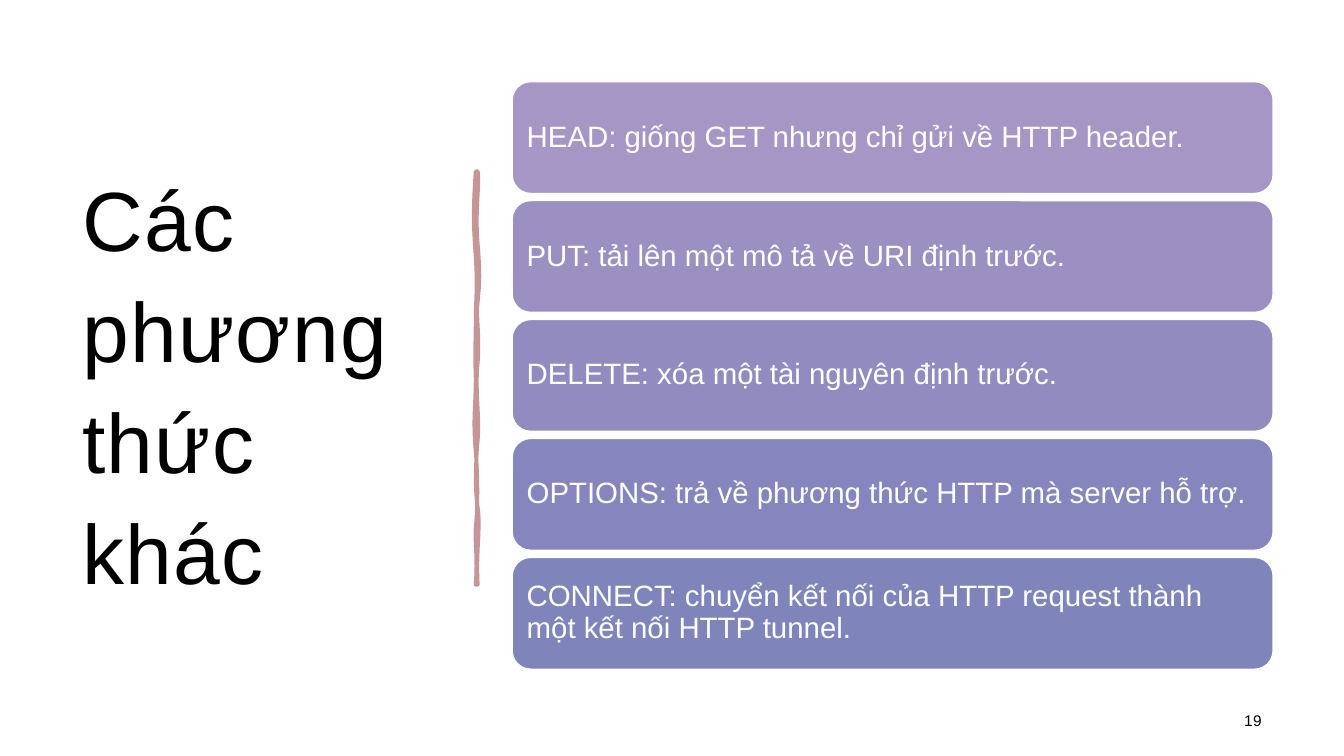
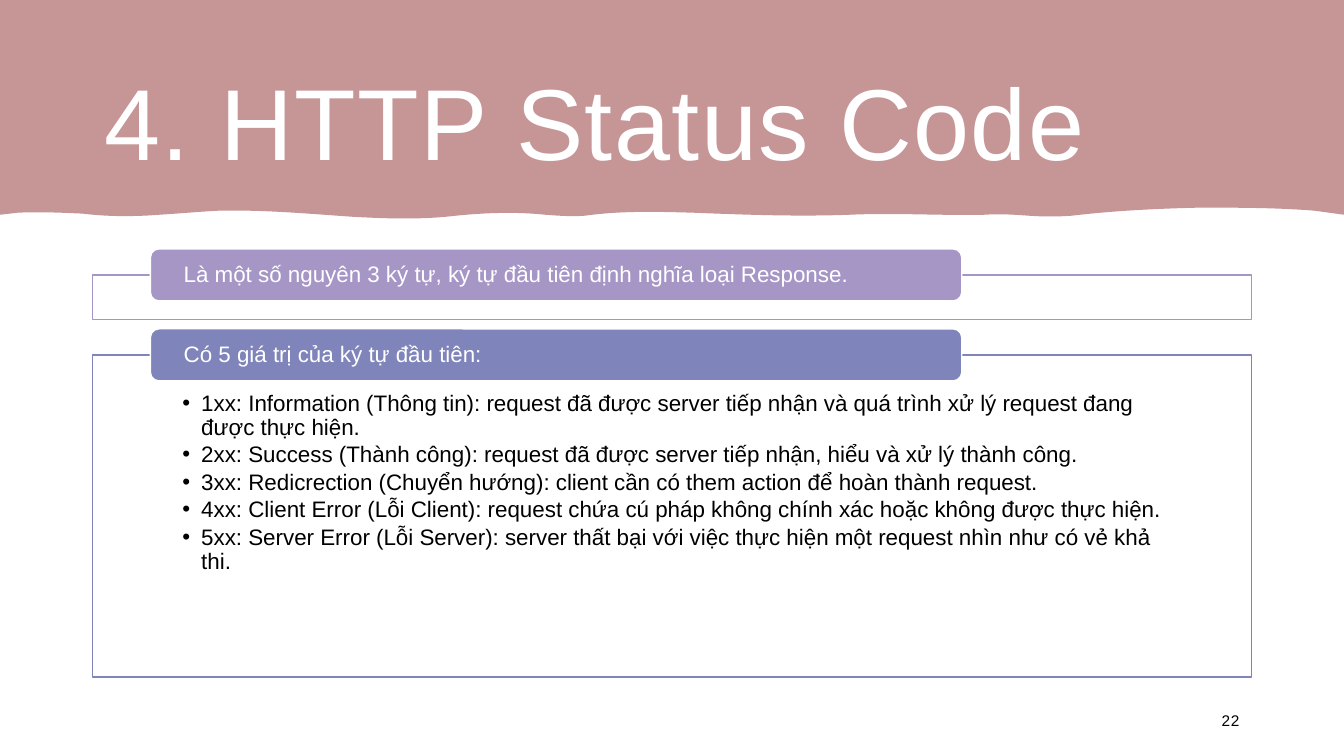
from lxml import etree
from pptx import Presentation
from pptx.dml import color
from pptx.enum import shapes, text
from pptx.oxml import ns
from pptx.util import Pt

FONT = "Arial"
WHITE, BLACK, ROSE = "FFFFFF", "000000", "C69697"
LILAC, BLUE = "A696C6", "7F84BA"
SLIDE_WIDTH, SLIDE_HEIGHT = 960, 540
TITLE_ONLY = 5
TITLE_INSETS = (8.64, 8.64, 8.64, 7.2)

METHODS = [
    ("HEAD: giống GET nhưng chỉ gửi về HTTP header.", LILAC),
    ("PUT: tải lên một mô tả về URI định trước.", "9C90C3"),
    ("DELETE: xóa một tài nguyên định trước.", "918BC0"),
    ("OPTIONS: trả về phương thức HTTP mà server hỗ trợ.", "8685BD"),
    ("CONNECT: chuyển kết nối của HTTP request thành một kết nối HTTP tunnel.", BLUE),
]
STATUS_CLASSES = [
    "1xx: Information (Thông tin): request đã được server tiếp nhận và quá trình xử lý request đang được thực hiện.",
    "2xx: Success (Thành công): request đã được server tiếp nhận, hiểu và xử lý thành công.",
    "3xx: Redicrection (Chuyển hướng): client cần có them action để hoàn thành request.",
    "4xx: Client Error (Lỗi Client): request chứa cú pháp không chính xác hoặc không được thực hiện.",
    "5xx: Server Error (Lỗi Server): server thất bại với việc thực hiện một request nhìn như có vẻ khả thi.",
]

DIVIDER = [
    [(339.8, 122.4)],
    [(341.3, 122.4)],
    [(342.7, 133.9), (339.1, 149), (341.3, 175)],
    [(343.4, 200.9), (342, 205.2), (341.3, 215.3)],
    [(339.8, 225.4), (342.7, 238.3), (341.3, 258.5)],
    [(339.1, 278.6), (342.7, 297.4), (341.3, 313.9)],
    [(339.8, 329.8), (339.1, 349.2), (341.3, 362.9)],
    [(343.4, 376.6), (339.8, 394.6), (341.3, 417.6)],
    [(339.8, 417.6)],
    [(341.3, 398.9), (339.1, 385.9), (339.8, 377.3)],
    [(340.6, 369.4), (342, 347.8), (339.8, 322.6)],
    [(337.7, 297.4), (339.8, 292.3), (339.8, 270)],
    [(339.1, 248.4), (339.8, 245.5), (339.8, 229.7)],
    [(339.8, 214.6), (341.3, 205.2), (339.8, 183.6)],
    [(338.4, 162.7), (337.7, 152.6), (339.8, 122.4)],
]
BAND = [
    [(0, 0)],
    [(SLIDE_WIDTH, 0)],
    [(SLIDE_WIDTH, 153.4)],
    [(938.9, 150.5)],
    [(911.5, 148.3), (884.2, 148.3), (856.8, 148.3)],
    [(826.6, 149), (795.6, 150.5), (765.4, 154.1)],
    [(755.3, 154.8), (745.2, 154.8), (735.1, 154.1)],
    [(725, 153.4), (714.2, 152.6), (703.4, 153.4)],
    [(671.8, 154.1), (639.4, 151.9), (607, 153.4)],
    [(569.5, 154.8), (532.1, 153.4), (494.6, 151.9)],
    [(468.7, 151.2), (443.5, 150.5), (417.6, 154.1)],
    [(408.2, 154.8), (398.9, 154.1), (389.5, 153.4)],
    [(368.6, 151.2), (347, 151.9), (325.4, 154.1)],
    [(301, 157), (276.5, 156.2), (251.3, 154.8)],
    [(219.6, 152.6), (187.9, 149.8), (156.2, 150.5)],
    [(141.8, 151.2), (127.4, 152.6), (113.8, 153.4)],
    [(95.8, 154.8), (77, 154.8), (59, 152.6)],
    [(43.9, 151.9), (28.8, 151.2), (13, 151.9)],
    [(0, 153.4)],
]


def rgb(value):
    return color.RGBColor.from_string(value)


def paint(shape, fill, line=None, width=1):
    shape.shadow.inherit = False
    shape.fill.solid()
    shape.fill.fore_color.rgb = rgb(fill)
    if line:
        shape.line.color.rgb = rgb(line)
        shape.line.width = Pt(width)
    else:
        shape.line.fill.background()


def set_opacity(shape, percent):
    fill_color = shape._element.spPr.find(ns.qn("a:solidFill"))[0]
    etree.SubElement(fill_color, ns.qn("a:alpha")).set("val", str(percent * 1000))


def set_frame(shape, insets, anchor=text.MSO_ANCHOR.MIDDLE):
    frame = shape.text_frame
    frame.word_wrap = True
    frame.auto_size = text.MSO_AUTO_SIZE.NONE
    frame.vertical_anchor = anchor
    frame.margin_left, frame.margin_top, frame.margin_right, frame.margin_bottom = map(Pt, insets)
    return frame


def format_paragraph(paragraph, size, fill, line_spacing=0.9, tracking=0,
                     alignment=text.PP_ALIGN.LEFT):
    paragraph.alignment = alignment
    paragraph.line_spacing = line_spacing
    for run in paragraph.runs:
        run.font.name = FONT
        run.font.size = Pt(size)
        run.font.color.rgb = rgb(fill)
        if tracking:
            run.font._element.set("spc", str(round(tracking * 100)))


def add_bullet(paragraph, indent):
    properties = paragraph._p.get_or_add_pPr()
    properties.set("marL", str(Pt(indent)))
    properties.set("indent", str(-Pt(indent)))
    etree.SubElement(properties, ns.qn("a:buFont")).set("typeface", FONT)
    etree.SubElement(properties, ns.qn("a:buChar")).set("char", "•")


def bend_segments(shape, segments):
    path = next(shape._element.iter(ns.qn("a:path")))
    lines = iter(path.findall(ns.qn("a:lnTo")))
    for segment in segments:
        group = [next(lines) for _ in segment]
        if len(group) == 3:
            bezier = etree.Element(ns.qn("a:cubicBezTo"))
            group[0].addprevious(bezier)
            for line in group:
                bezier.append(line[0])
                path.remove(line)


def add_outline(slide, segments, fill, line=None, width=1):
    start, *points = [(Pt(x), Pt(y)) for segment in segments for x, y in segment]
    builder = slide.shapes.build_freeform(*start, scale=1.0)
    builder.add_line_segments(points, close=True)
    shape = builder.convert_to_shape()
    bend_segments(shape, segments[1:])
    paint(shape, fill, line, width)


def add_box(slide, kind, box, fill, line=None):
    shape = slide.shapes.add_shape(kind, *map(Pt, box))
    paint(shape, fill, line)
    return shape


def add_label(slide, box, label, size, fill, insets):
    shape = add_box(slide, shapes.MSO_SHAPE.ROUNDED_RECTANGLE, box, fill, WHITE)
    frame = set_frame(shape, insets)
    frame.text = label
    format_paragraph(frame.paragraphs[0], size, WHITE)


def add_panel(slide, top, height, line):
    panel = add_box(slide, shapes.MSO_SHAPE.RECTANGLE, (66, top, 828, height), WHITE, line)
    set_opacity(panel, 90)
    return panel


def add_panel_heading(slide, top, heading, fill):
    add_label(slide, (107.4, top, 579.6, 37.2), heading, 16, fill, (22, 0, 22, 0))


def fill_list(panel, items):
    frame = set_frame(panel, (64.3, 26.3, 64.3, 8.5), text.MSO_ANCHOR.TOP)
    frame.text = "\n".join(items)
    for paragraph in frame.paragraphs:
        paragraph.level = 1
        add_bullet(paragraph, 13.5)
        format_paragraph(paragraph, 16, BLACK)
        paragraph.space_after = Pt(2.4)


def add_title_slide(presentation):
    slide = presentation.slides.add_slide(presentation.slide_layouts[TITLE_ONLY])
    add_box(slide, shapes.MSO_SHAPE.RECTANGLE, (0, 0, SLIDE_WIDTH, SLIDE_HEIGHT), WHITE)
    return slide


def set_title(slide, box, title, size, fill):
    shape = slide.shapes.title
    slide.shapes._spTree.append(shape._element)
    shape.left, shape.top, shape.width, shape.height = map(Pt, box)
    frame = set_frame(shape, TITLE_INSETS)
    frame.text = title
    format_paragraph(frame.paragraphs[0], size, fill, 1.1, 1)


def add_slide_number(slide, right, width, number):
    shape = slide.shapes.add_textbox(Pt(right - width), Pt(500.4), Pt(width), Pt(28.8))
    frame = set_frame(shape, TITLE_INSETS)
    frame.text = str(number)
    format_paragraph(frame.paragraphs[0], 11, BLACK, 0.9, 0.4, text.PP_ALIGN.RIGHT)


def add_methods_slide(presentation):
    slide = add_title_slide(presentation)
    set_title(slide, (50, 50.4, 269, 440), "Các phương thức khác", 60, BLACK)
    add_outline(slide, DIVIDER, ROSE, ROSE, 2.75)
    add_slide_number(slide, 910, 144, 19)
    for index, (method, fill) in enumerate(METHODS):
        box = (365.8, 58.3 + 84.96 * index, 543.6, 79.9)
        add_label(slide, box, method, 21, fill, (6.5,) * 4)


def add_status_slide(presentation):
    slide = add_title_slide(presentation)
    add_outline(slide, BAND, ROSE)
    set_title(slide, (66, 28.8, 828, 104.4), "4. HTTP Status Code", 72, WHITE)
    add_slide_number(slide, 894, 216, 22)
    add_panel(slide, 196.5, 31.7, LILAC)
    add_panel_heading(slide, 177.8, "Là một số nguyên 3 ký tự, ký tự đầu tiên định nghĩa loại Response.", LILAC)
    fill_list(add_panel(slide, 253.5, 230, BLUE), STATUS_CLASSES)
    add_panel_heading(slide, 234.9, "Có 5 giá trị của ký tự đầu tiên:", BLUE)


def main():
    presentation = Presentation()
    presentation.slide_width = Pt(SLIDE_WIDTH)
    presentation.slide_height = Pt(SLIDE_HEIGHT)
    add_methods_slide(presentation)
    add_status_slide(presentation)
    presentation.save("out.pptx")


if __name__ == "__main__":
    main()
